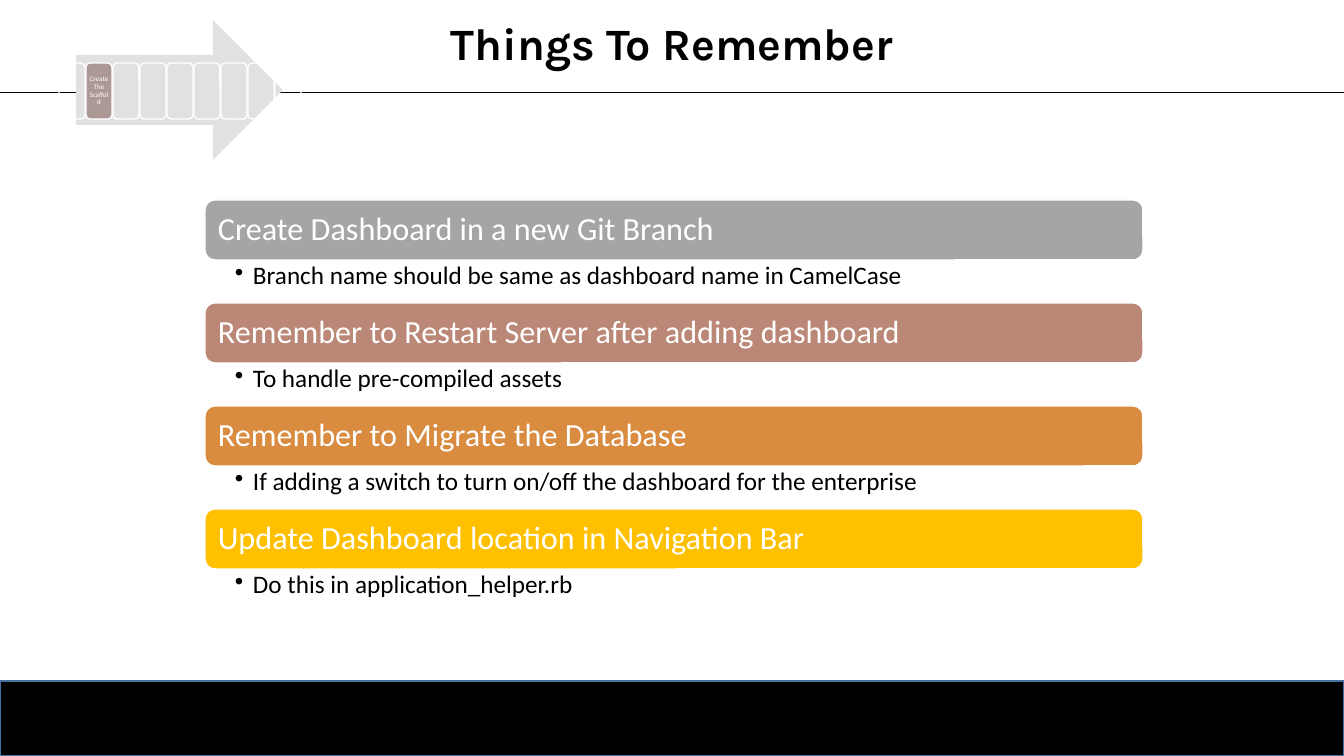
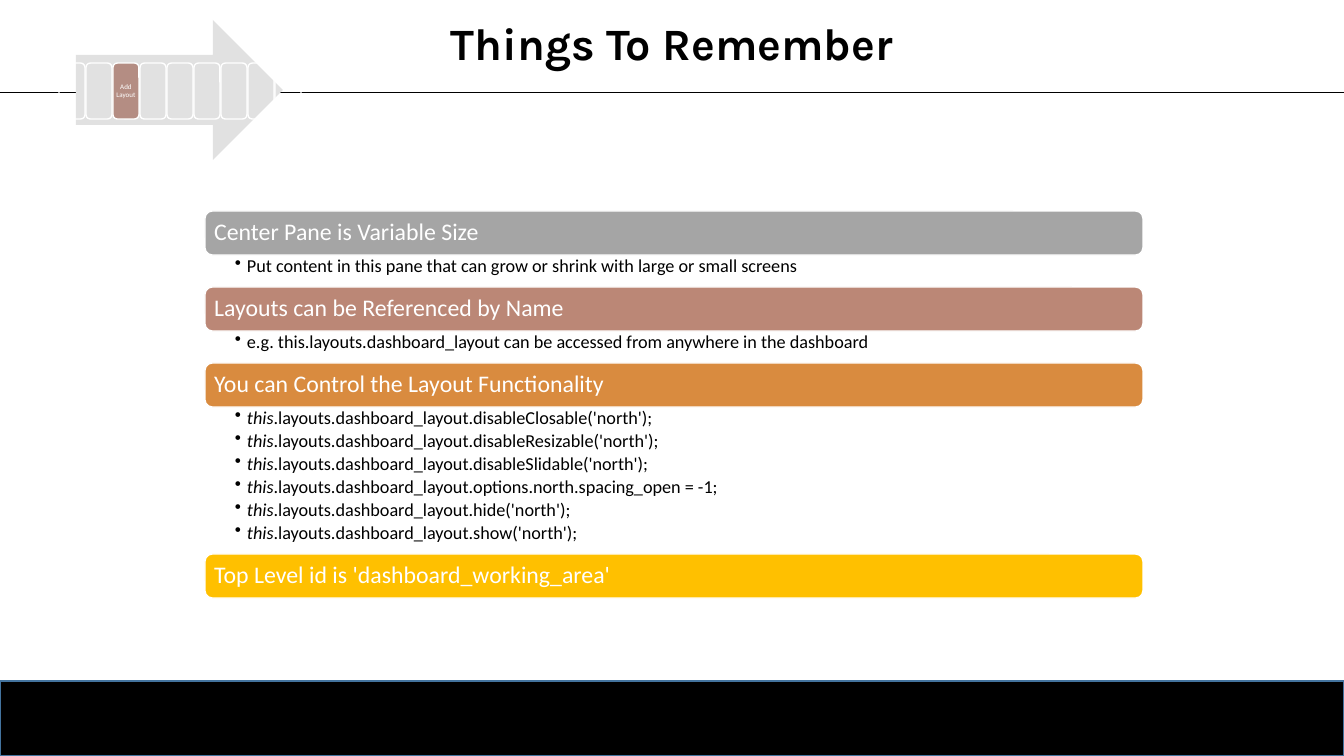
from dataclasses import dataclass

from lxml.etree import SubElement
from pptx import Presentation
from pptx.dml.color import RGBColor
from pptx.enum.shapes import MSO_CONNECTOR as Connector, MSO_SHAPE as Preset
from pptx.enum.text import MSO_ANCHOR as Anchor, MSO_AUTO_SIZE as AutoSize, PP_ALIGN as Align
from pptx.oxml.ns import qn
from pptx.util import Emu, Pt

# Shared geometry in px, and shared style
PAGE_WIDTH, PAGE_HEIGHT = 1344, 756
RULE_TOP = 92
BAND_TOP = 681
PANEL_LEFT, PANEL_WIDTH = 205, 938
STEP_COUNT, STEP_LEFT, STEP_PITCH = 9, 59, 27

BLACK, WHITE = "000000", "FFFFFF"
BAND_EDGE, ARROW_FILL = "43739E", "E1E1E1"
BAR_FILLS = ["A5A5A5", "BB8776", "D98B3F", "FFC000"]
TITLE_FONT, TEXT_FONT = "Karla", "Calibri"


@dataclass
class PanelStyle:
    """Sizes of one stack of bars and lists: fonts in points, the rest in px."""
    top: int
    bar_height: int
    list_height: int
    line_pitch: int
    bar_size: int
    list_size: int
    bar_inset: int
    list_inset: tuple
    bullet_indent: int


ROOMY = PanelStyle(200, 60, 43, 32, 23, 18, 10, (30, 3, 18, 3), 18)
COMPACT = PanelStyle(211, 44, 32, 23, 17, 13, 7, (30, 2, 13, 2), 12)

# Content: each bar has a heading and list items; an item is (text, italic) spans
GENERAL_TIPS = [
    ("Create Dashboard in a new Git Branch",
     [[("Branch name should be same as dashboard name in CamelCase", False)]]),
    ("Remember to Restart Server after adding dashboard",
     [[("To handle pre-compiled assets", False)]]),
    ("Remember to Migrate the Database",
     [[("If adding a switch to turn on/off the dashboard for the enterprise", False)]]),
    ("Update Dashboard location in Navigation Bar",
     [[("Do this in application_helper.rb", False)]]),
]
LAYOUT_CALLS = [
    "disableClosable('north');",
    "disableResizable('north');",
    "disableSlidable('north');",
    "options.north.spacing_open = -1;",
    "hide('north');",
    "show('north');",
]
LAYOUT_TIPS = [
    ("Center Pane is Variable Size",
     [[("Put content in this pane that can grow or shrink with large or small screens", False)]]),
    ("Layouts can be Referenced by Name",
     [[("e.g. this.layouts.dashboard_layout can be accessed from anywhere in the dashboard",
        False)]]),
    ("You can Control the Layout Functionality",
     [[("this", True), (f".layouts.dashboard_layout.{call}", False)] for call in LAYOUT_CALLS]),
    ("Top Level id is 'dashboard_working_area'", []),
]


def px(length):
    return Emu(round(length * 914400 / 100.8))


def color(hex_code):
    return RGBColor.from_string(hex_code)


def add_span(para, text, size, font=TEXT_FONT, ink=WHITE, bold=False, italic=False):
    span = para.add_run()
    span.text = text
    span.font.name = font
    span.font.size = Pt(size)
    span.font.bold = bold
    span.font.italic = italic
    span.font.color.rgb = color(ink)


def set_frame(frame, inset, anchor):
    frame.word_wrap = True
    frame.auto_size = AutoSize.NONE
    frame.vertical_anchor = anchor
    (frame.margin_left, frame.margin_top,
     frame.margin_right, frame.margin_bottom) = map(px, inset)


def add_box(page, preset, bounds, fill=None, line=None):
    box = page.shapes.add_shape(preset, *map(px, bounds))
    box.shadow.inherit = False
    if fill:
        box.fill.solid()
        box.fill.fore_color.rgb = color(fill)
    else:
        box.fill.background()
    if line:
        box.line.color.rgb = color(line)
        box.line.width = Pt(1)
    else:
        box.line.fill.background()
    return box


def add_label(box, text, size, inset, align):
    set_frame(box.text_frame, [inset] * 4, Anchor.MIDDLE)
    para = box.text_frame.paragraphs[0]
    para.alignment = align
    para.line_spacing = 0.9
    add_span(para, text, size)


def add_rule(page, top):
    rule = page.shapes.add_connector(
        Connector.STRAIGHT, 0, px(top), px(PAGE_WIDTH), px(top))
    rule.line.color.rgb = color(BLACK)
    rule.line.width = Pt(0.5)
    SubElement(rule._element.spPr, qn("a:effectLst"))
    return rule


def add_bullets(page, items, top, height, style):
    box = page.shapes.add_textbox(*map(px, (PANEL_LEFT, top, PANEL_WIDTH, height)))
    frame = box.text_frame
    set_frame(frame, style.list_inset, Anchor.TOP)
    for index, spans in enumerate(items):
        para = frame.add_paragraph() if index else frame.paragraphs[0]
        para.level = 1
        para.line_spacing = 0.9
        para.space_after = Pt(style.list_size * 0.18)
        props = para._p.get_or_add_pPr()
        props.set("marL", str(px(style.bullet_indent)))
        props.set("indent", str(-px(style.bullet_indent)))
        SubElement(props, qn("a:buChar"), char="•")
        for text, italic in spans:
            add_span(para, text, style.list_size, ink=BLACK, italic=italic)


def add_progress(page, current, text, fill):
    """Arrow of steps with the current one filled and labelled."""
    add_box(page, Preset.RIGHT_ARROW, (76, 20, 207, 140), ARROW_FILL)
    for index in range(STEP_COUNT):
        bounds = (STEP_LEFT + index * STEP_PITCH, 63, 26, 56)
        active = index == current
        step = add_box(page, Preset.ROUNDED_RECTANGLE, bounds, fill if active else None, WHITE)
        if active:
            add_label(step, text, 5, 1, Align.CENTER)


def add_panels(page, tips, style):
    """Stack of coloured bars, each followed by its bullet list."""
    top = style.top
    for (heading, items), fill in zip(tips, BAR_FILLS):
        bounds = (PANEL_LEFT, top, PANEL_WIDTH, style.bar_height)
        bar = add_box(page, Preset.ROUNDED_RECTANGLE, bounds, fill, WHITE)
        add_label(bar, heading, style.bar_size, style.bar_inset, Align.LEFT)
        top += style.bar_height
        if items:
            height = style.list_height + (len(items) - 1) * style.line_pitch
            add_bullets(page, items, top, height, style)
            top += height


def decorate_layout(layout, page):
    """Give the layout its band and rule, drawn on a page and then moved."""
    band_bounds = (0, BAND_TOP, PAGE_WIDTH, PAGE_HEIGHT - BAND_TOP)
    band = add_box(page, Preset.RECTANGLE, band_bounds, BLACK, BAND_EDGE)
    rule = add_rule(page, RULE_TOP)
    for position, part in enumerate((band, rule), start=2):
        layout.shapes.element.insert(position, part._element)


def set_title(page, text):
    title = page.shapes.title
    title.left, title.top, title.width, title.height = map(px, (0, 0, PAGE_WIDTH, 91))
    set_frame(title.text_frame, (10, 5, 10, 5), Anchor.MIDDLE)
    para = title.text_frame.paragraphs[0]
    para.alignment = Align.CENTER
    para.line_spacing = 0.9
    add_span(para, text, 32, TITLE_FONT, BLACK, bold=True)


def main():
    deck = Presentation()
    deck.slide_width, deck.slide_height = px(PAGE_WIDTH), px(PAGE_HEIGHT)
    layout = deck.slide_layouts.get_by_name("Title Only")
    pages = [
        (1, "Create The Scaffold", "AC9894", GENERAL_TIPS, ROOMY),
        (2, "Add Layout", "B48D83", LAYOUT_TIPS, COMPACT),
    ]
    for number, (step, label, fill, tips, style) in enumerate(pages):
        page = deck.slides.add_slide(layout)
        if number == 0:
            decorate_layout(layout, page)
        set_title(page, "Things To Remember")
        add_progress(page, step, label, fill)
        add_panels(page, tips, style)
    deck.save("out.pptx")


if __name__ == "__main__":
    main()
